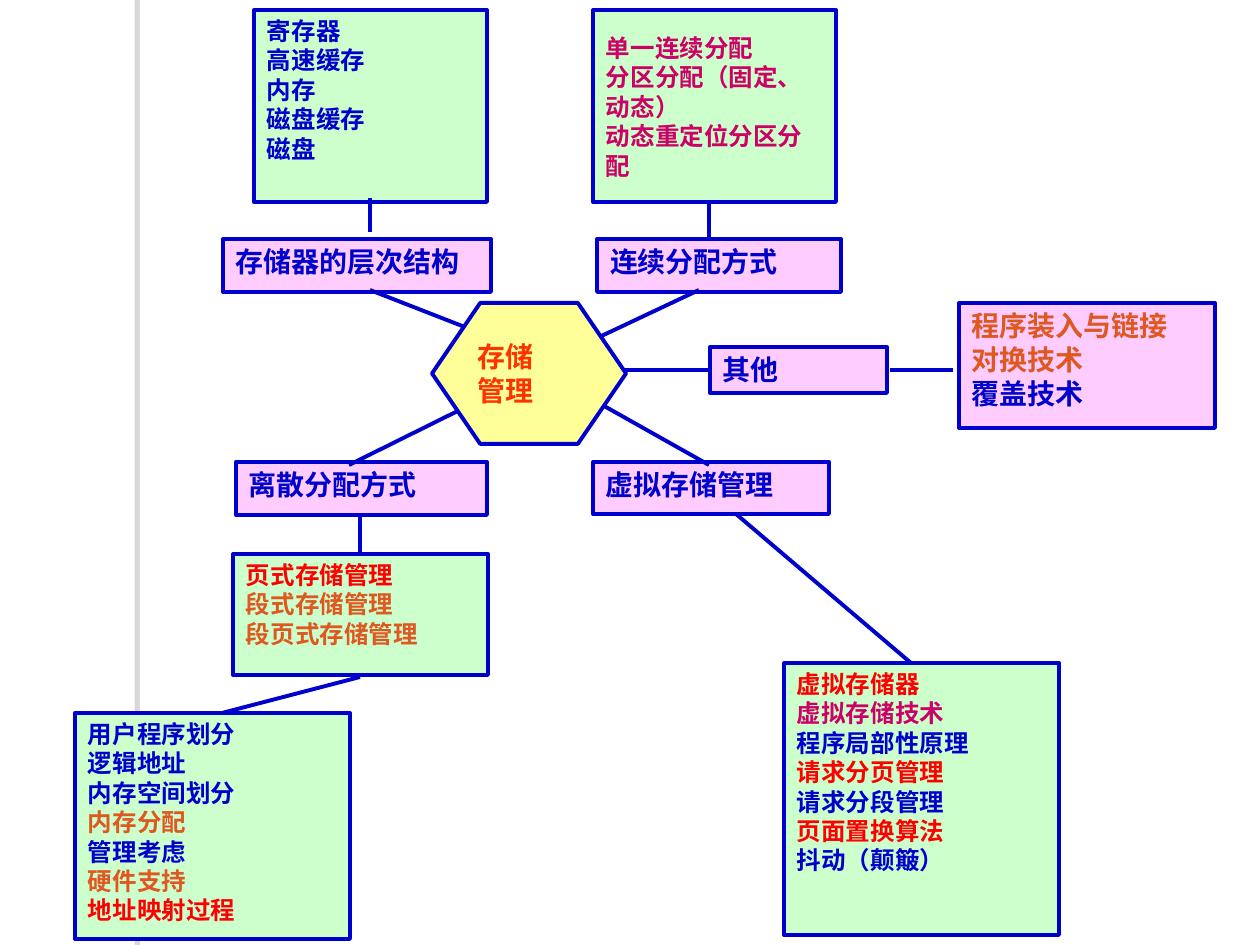
from dataclasses import dataclass

from lxml import etree
from pptx import Presentation
from pptx.dml.color import RGBColor
from pptx.enum import shapes, text
from pptx.oxml.ns import qn
from pptx import util as u

EMU_PER_PX = 914400 / 126
COLORS = {
    "white": "FFFFFF", "green": "CCFFCC", "pink": "FFCCFF", "yellow": "FFFF99",
    "blue": "0000CC", "red": "FF0000", "orange": "DF5721", "magenta": "CC0066",
    "scarlet": "FF3300", "shade": "706B5F",
}
SERIF, SANS = "Times New Roman", "Arial"


@dataclass(frozen=True)
class Box:
    x: int
    y: int
    w: int
    h: int
    lines: tuple[tuple[str, str], ...]
    fill: str = "green"
    size: int = 14
    font: str = SERIF
    top: int = 6


@dataclass(frozen=True)
class Link:
    x1: int
    y1: int
    x2: int
    y2: int


def topic(x: int, y: int, w: int, h: int, label: str, font: str = SERIF) -> Box:
    return Box(x, y, w, h, ((label, "blue"),), "pink", 16, font)


DETAILS = (
    Box(233, 554, 255, 121, (
        ("页式存储管理", "red"), ("段式存储管理", "orange"), ("段页式存储管理", "orange"))),
    Box(784, 663, 275, 272, (
        ("虚拟存储器", "red"), ("虚拟存储技术", "magenta"), ("程序局部性原理", "blue"),
        ("请求分页管理", "red"), ("请求分段管理", "blue"), ("页面置换算法", "red"),
        ("抖动（颠簸）", "blue"))),
    Box(75, 713, 275, 226, (
        ("用户程序划分", "blue"), ("逻辑地址", "blue"), ("内存空间划分", "blue"),
        ("内存分配", "orange"), ("管理考虑", "blue"), ("硬件支持", "orange"),
        ("地址映射过程", "red"))),
    Box(959, 303, 256, 125, (
        ("程序装入与链接", "orange"), ("对换技术", "orange"), ("覆盖技术", "blue")), "pink", 16),
    Box(254, 10, 233, 192, (
        ("寄存器", "blue"), ("高速缓存", "blue"), ("内存", "blue"), ("磁盘缓存", "blue"),
        ("磁盘", "blue"))),
    Box(593, 10, 243, 192, (
        ("单一连续分配", "magenta"), ("分区分配（固定、动态）", "magenta"),
        ("动态重定位分区分配", "magenta")), top=23),
)
LOWER_LINKS = (
    Link(709, 491, 911, 663), Link(360, 494, 360, 556), Link(222, 713, 360, 677),
)
TOPICS = (
    topic(223, 239, 268, 53, "存储器的层次结构"),
    topic(597, 239, 244, 53, "连续分配方式", SANS),
    topic(236, 462, 251, 53, "离散分配方式", SANS),
    topic(593, 462, 236, 52, "虚拟存储管理"),
    topic(710, 347, 177, 46, "其他"),
)
CENTER_LINKS = (
    Link(370, 290, 498, 340), Link(699, 290, 593, 340),
    Link(349, 465, 498, 391), Link(709, 465, 597, 402),
    Link(614, 370, 709, 370), Link(370, 198, 370, 232),
    Link(709, 200, 709, 238), Link(890, 370, 953, 370),
)
CENTER = Box(432, 303, 194, 141, (("存储", "scarlet"), ("管理", "scarlet")), "yellow", 16, SANS)


def px(n: int) -> int:
    return round(n * EMU_PER_PX)


def rgb(name: str) -> RGBColor:
    return RGBColor.from_string(COLORS[name])


def add_box(s, box: Box, kind=shapes.MSO_SHAPE.RECTANGLE):
    sp = s.shapes.add_shape(kind, px(box.x), px(box.y), px(box.w), px(box.h))
    sp.shadow.inherit = False
    sp.fill.solid()
    sp.fill.fore_color.rgb = rgb(box.fill)
    sp.line.color.rgb = rgb("blue")
    sp.line.width = u.Pt(2.25)
    tf = sp.text_frame
    tf.word_wrap = True
    tf.vertical_anchor = text.MSO_ANCHOR.TOP
    tf.margin_left = tf.margin_right = px(13)
    tf.margin_top, tf.margin_bottom = px(box.top), px(6)
    for i, (words, color) in enumerate(box.lines):
        p = tf.add_paragraph() if i else tf.paragraphs[0]
        p.alignment = text.PP_ALIGN.LEFT
        r = p.add_run()
        r.text = words
        r.font.name = box.font
        r.font.size = u.Pt(box.size)
        r.font.bold = True
        r.font.color.rgb = rgb(color)
    return sp


def add_link(s, link: Link) -> None:
    cx = s.shapes.add_connector(
        shapes.MSO_CONNECTOR.STRAIGHT, px(link.x1), px(link.y1), px(link.x2), px(link.y2))
    cx.line.color.rgb = rgb("blue")
    cx.line.width = u.Pt(2.25)
    etree.SubElement(cx._element.spPr, qn("a:effectLst"))


def add_side_bar(s) -> None:
    sp = s.shapes.add_shape(shapes.MSO_SHAPE.RECTANGLE, px(140), 0, px(10), px(945))
    sp.fill.solid()
    sp.fill.fore_color.rgb = rgb("white")
    sp.line.fill.background()
    sp.shadow.inherit = False
    effects = sp._element.spPr.find(qn("a:effectLst"))
    shadow = etree.SubElement(
        effects, qn("a:outerShdw"), dist=str(u.Pt(3)), dir="10800000", algn="ctr", rotWithShape="0")
    tone = etree.SubElement(shadow, qn("a:srgbClr"), val=COLORS["shade"])
    etree.SubElement(tone, qn("a:alpha"), val="25000")


def main() -> None:
    prs = Presentation()
    prs.slide_width, prs.slide_height = px(1260), px(945)
    s = prs.slides.add_slide(prs.slide_layouts[6])
    add_side_bar(s)
    for boxes, links in ((DETAILS, LOWER_LINKS), (TOPICS, CENTER_LINKS)):
        for box in boxes:
            add_box(s, box)
        for link in links:
            add_link(s, link)
        if boxes is DETAILS:
            continue
    sp = add_box(s, CENTER, shapes.MSO_SHAPE.HEXAGON)
    sp.adjustments[0] = 0.342
    sp.text_frame.word_wrap = False
    sp.text_frame.vertical_anchor = text.MSO_ANCHOR.MIDDLE
    prs.save("out.pptx")


if __name__ == "__main__":
    main()
